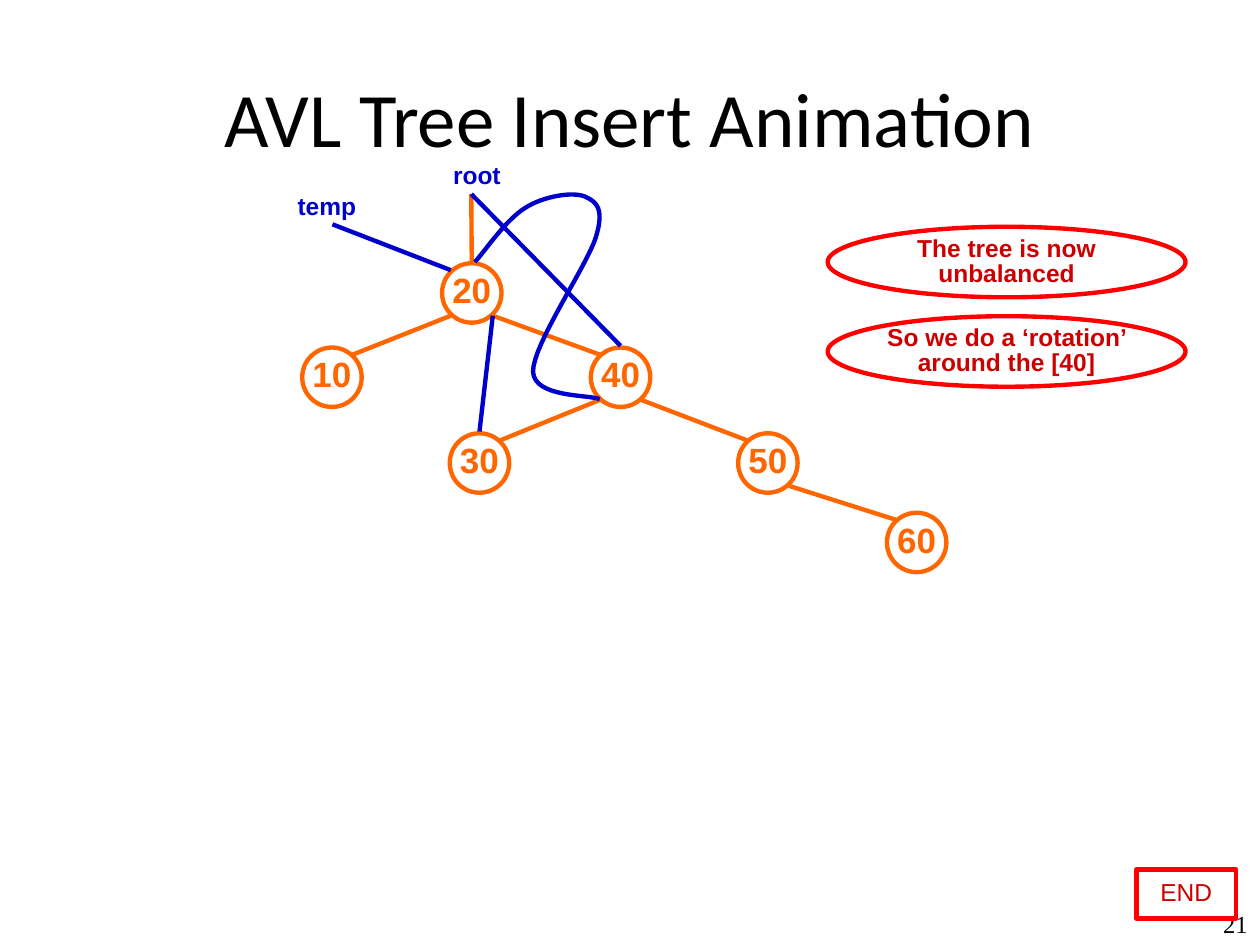
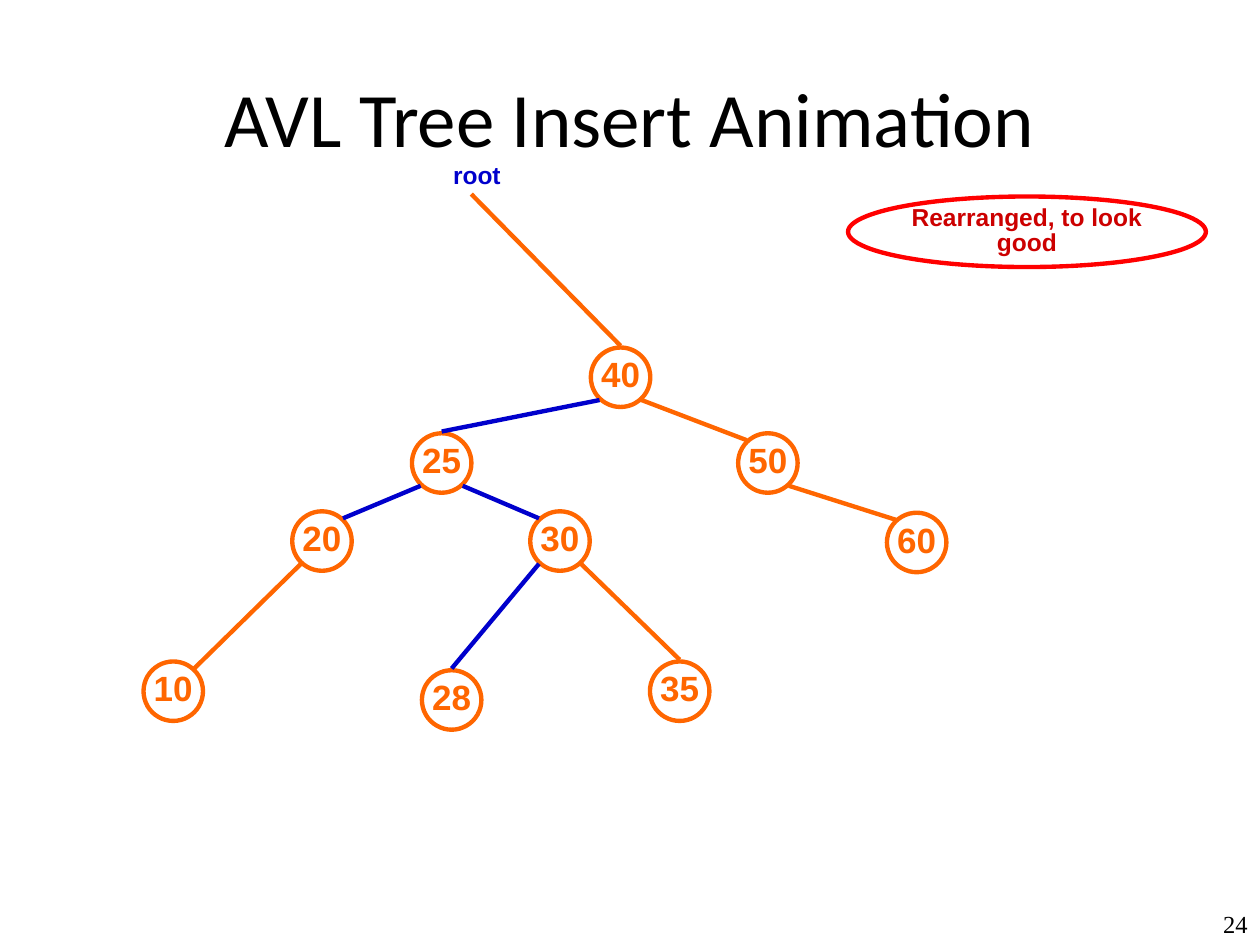
from lxml import etree
from pptx import Presentation
from pptx.dml.color import RGBColor
from pptx.enum.shapes import MSO_CONNECTOR as Connector, MSO_SHAPE as Preset
from pptx.enum.text import MSO_ANCHOR as Anchor, PP_ALIGN as Align
from pptx.oxml.ns import qn
from pptx.util import Pt

# Content: node centres, edges as (start, side, end, side), lengths in points
TITLE = "AVL Tree Insert Animation"
ORANGE, BLUE, RED, DARK_RED, BLACK = "FF6600", "0000CC", "FF0000", "CC0000", "000000"
ROOT = ("root", 272.5, 94.3)
TEMP = ("temp", 186.8, 111.6)
SHARED_NODES = {"40": (354.6, 215.6), "50": (438.8, 264.6), "60": (523.8, 310)}
SHARED_EDGES = [
    ("40", "bottom right", "50", "top left", ORANGE),
    ("50", "bottom right", "60", "top left", ORANGE),
]
SLIDES = [
    {
        "number": "21",
        "nodes": {"20": (269.6, 167.4), "10": (189.7, 215.6), "30": (274, 264.6)},
        "edges": [
            ("20", "bottom left", "10", "top right", ORANGE),
            ("20", "bottom right", "40", "top left", ORANGE),
            ("40", "bottom left", "30", "top right", ORANGE),
            ("root", "here", "20", "top", ORANGE),
            ("temp", "here", "20", "top left", BLUE),
            ("root", "here", "40", "top", BLUE),
            ("20", "bottom right", "30", "top", BLUE),
        ],
        "labels": [ROOT, TEMP],
        "notes": [
            ("The tree is now unbalanced", 473, 129.6),
            ("So we do a ‘rotation’ around the [40]", 473, 180.7),
        ],
        "curve": [
            (342.7, 228.2),
            (337, 225.4), (305.3, 227.5), (304.6, 212.4),
            (304.6, 196.6), (335.5, 151.9), (340.6, 135.4),
            (345.6, 118.8), (340.6, 115.2), (334.1, 112.3),
            (326.9, 109.4), (310.3, 112.3), (300.2, 118.8),
            (289.4, 125.3), (277.2, 143.3), (271.4, 149.8),
        ],
        "end": "END",
    },
    {
        "number": "24",
        "nodes": {
            "20": (184, 309.2), "10": (99, 395), "30": (320, 309.2),
            "25": (252.4, 264.6), "35": (388.4, 395), "28": (258.1, 400),
        },
        "edges": [
            ("20", "bottom left", "10", "top right", ORANGE),
            ("root", "here", "40", "top", ORANGE),
            ("30", "bottom right", "35", "top", ORANGE),
            ("40", "bottom left", "25", "top", BLUE),
            ("30", "bottom left", "28", "top", BLUE),
            ("25", "bottom left", "20", "top right", BLUE),
            ("30", "top left", "25", "bottom right", BLUE),
        ],
        "labels": [ROOT],
        "notes": [("Rearranged, to look good", 484.6, 112.3)],
    },
]

# Shared geometry and text styles
NODE_SIZE = 34
SIDES = {
    "here": (0, 0), "top": (0, -18),
    "top left": (-12, -13), "top right": (12, -13),
    "bottom left": (-12, 13), "bottom right": (12, 13),
}
ANCHORS = {"root": (269.3, 110.9), "temp": (190, 128.2)}
TITLE_FONT = {"name": "Calibri", "size": Pt(44), "bold": False}
NUMBER_FONT = {"name": "Times New Roman", "size": Pt(14), "bold": False}
NODE_FONT = {"name": "Arial", "size": Pt(20), "bold": True}
NOTE_FONT = {"name": "Arial", "size": Pt(14), "bold": True}
END_FONT = {"name": "Arial", "size": Pt(14), "bold": False}


def rgb(color):
    return RGBColor.from_string(color)


def place(shape, left, top, width, height):
    for name, value in zip(("left", "top", "width", "height"), (left, top, width, height)):
        setattr(shape, name, Pt(value))


def write(shape, text, font, color, align=Align.CENTER, spacing=0.85,
          margins=(0, 0), anchor=Anchor.MIDDLE, wrap=True):
    frame = shape.text_frame
    across, down = margins
    layout = {
        "margin_left": Pt(across), "margin_right": Pt(across),
        "margin_top": Pt(down), "margin_bottom": Pt(down),
        "vertical_anchor": anchor, "word_wrap": wrap,
    }
    for name, value in layout.items():
        setattr(frame, name, value)
    para = frame.paragraphs[0]
    para.alignment, para.line_spacing = align, spacing
    span = para.add_run()
    span.text = text
    for name, value in font.items():
        setattr(span.font, name, value)
    span.font.color.rgb = rgb(color)


def stroke(line, color):
    line.color.rgb = rgb(color)
    line.width = Pt(2.5)


def outline(shape, color):
    shape.shadow.inherit = False
    shape.fill.background()
    stroke(shape.line, color)


def add_outlined(page, preset, frame, text, font, line_color, text_color, wrap=True):
    shape = page.shapes.add_shape(preset, *map(Pt, frame))
    outline(shape, line_color)
    write(shape, text, font, text_color, wrap=wrap)


def add_text(page, frame, *args, **options):
    box = page.shapes.add_textbox(*map(Pt, frame))
    write(box, *args, anchor=Anchor.TOP, **options)


def add_edge(page, points, start, start_side, end, end_side, color):
    ends = []
    for name, side in ((start, start_side), (end, end_side)):
        ends += [Pt(a + b) for a, b in zip(points[name], SIDES[side])]
    edge = page.shapes.add_connector(Connector.STRAIGHT, *ends)
    stroke(edge.line, color)
    etree.SubElement(edge._element.spPr, qn("a:effectLst"))


def bezier(points, steps=16):
    """Points along a chain of cubic segments, after the first point."""
    for first in range(0, len(points) - 1, 3):
        segment = points[first:first + 4]
        for step in range(1, steps + 1):
            t = step / steps
            weights = ((1 - t) ** 3, 3 * t * (1 - t) ** 2, 3 * t * t * (1 - t), t ** 3)
            yield tuple(Pt(sum(w * p[axis] for w, p in zip(weights, segment)))
                        for axis in (0, 1))


def add_curve(page, points):
    builder = page.shapes.build_freeform(*map(Pt, points[0]))
    builder.add_line_segments(list(bezier(points)), close=False)
    outline(builder.convert_to_shape(), BLUE)


def add_page(deck, content):
    page = deck.slides.add_slide(deck.slide_layouts[5])

    # Title and page number
    title = page.shapes.title
    place(title, 36, 21.6, 648, 90)
    write(title, TITLE, TITLE_FONT, BLACK, spacing=1, margins=(7.2, 3.6))
    add_text(page, (674, 520, 46, 20), content["number"], NUMBER_FONT, BLACK,
             align=Align.RIGHT, spacing=0.75, margins=(7.2, 3.6))

    # Tree
    nodes = {**SHARED_NODES, **content["nodes"]}
    for key, (x, y) in nodes.items():
        frame = (x - NODE_SIZE / 2, y - NODE_SIZE / 2, NODE_SIZE, NODE_SIZE)
        add_outlined(page, Preset.OVAL, frame, key, NODE_FONT, ORANGE, ORANGE, wrap=False)
    for edge in SHARED_EDGES + content["edges"]:
        add_edge(page, {**nodes, **ANCHORS}, *edge)
    if "curve" in content:
        add_curve(page, content["curve"])

    # Pointer labels and remarks
    for text, center, top in content["labels"]:
        add_text(page, (center - 25.5, top, 51, 14.4), text, NOTE_FONT, BLUE)
    for text, left, top in content["notes"]:
        add_outlined(page, Preset.OVAL, (left, top, 204.5, 40.3), text,
                     NOTE_FONT, RED, DARK_RED)
    if "end" in content:
        add_outlined(page, Preset.RECTANGLE, (649.4, 496.8, 56.9, 28.1), content["end"],
                     END_FONT, RED, DARK_RED, wrap=False)


def main():
    deck = Presentation()
    deck.slide_width, deck.slide_height = Pt(720), Pt(540)
    for content in SLIDES:
        add_page(deck, content)
    deck.save("out.pptx")


if __name__ == "__main__":
    main()
